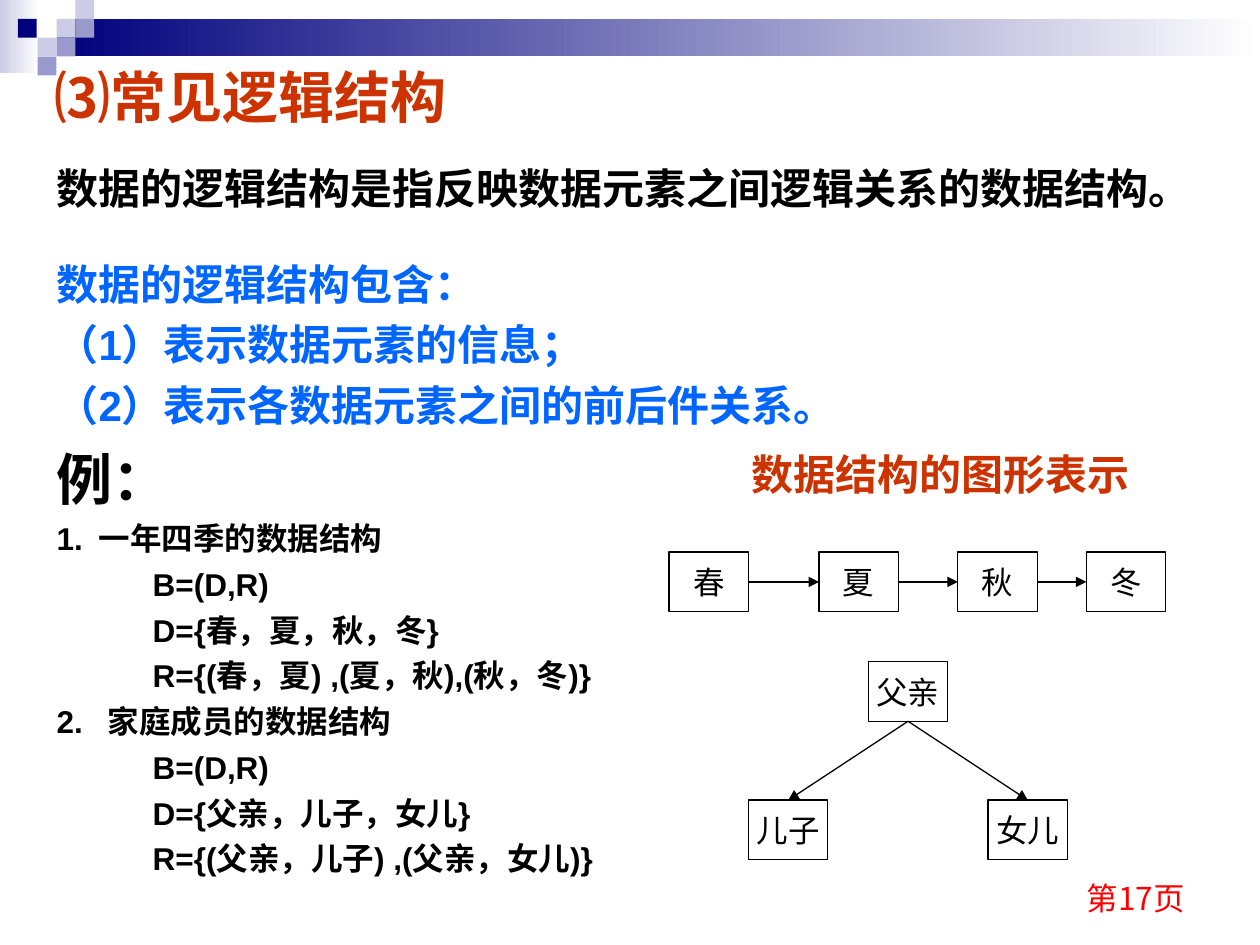
import pptx
import pptx.util
import pptx.dml.color
import pptx.enum.shapes
import pptx.enum.text
import pptx.oxml.ns
from lxml import etree
from dataclasses import dataclass

Cm, Pt = pptx.util.Cm, pptx.util.Pt
RGB = pptx.dml.color.RGBColor.from_string
Shape = pptx.enum.shapes.MSO_SHAPE
Align = pptx.enum.text.PP_ALIGN
Anchor = pptx.enum.text.MSO_ANCHOR
qn = pptx.oxml.ns.qn


@dataclass(frozen=True)
class Theme:
    """Fonts, colours, type sizes and line width."""
    latin: str = "Arial"
    cjk: str = "Noto Sans CJK SC"
    navy: str = "00007D"
    lilac: str = "CCCCE6"
    violet: str = "9999CC"
    white: str = "FFFFFF"
    black: str = "000000"
    blue: str = "0066FF"
    rust: str = "CC3300"
    red: str = "FF0000"
    title: int = 32
    body: int = 24
    small: int = 18
    line: float = 0.75


T = Theme()


def apply(obj, formats):
    """Set each named attribute on an object."""
    for name, value in formats.items():
        setattr(obj, name, value)


def write(p, text, size, color, bold=False, latin=T.latin):
    """Add one formatted run to a paragraph."""
    r = p.add_run()
    r.text = text
    apply(r.font, {"size": Pt(size), "bold": bold, "name": latin})
    r.font.color.rgb = RGB(color)
    etree.SubElement(r._r.get_or_add_rPr(), qn("a:ea"), typeface=T.cjk)


def place(sp, left, top, width, height):
    """Move and size a shape in centimetres."""
    apply(sp, {"left": Cm(left), "top": Cm(top), "width": Cm(width), "height": Cm(height)})


def frame(sp, anchor, align, wrap=True):
    """Prepare a text frame and return it with its first paragraph."""
    tf = sp.text_frame
    apply(tf, {"word_wrap": wrap, "vertical_anchor": anchor,
               "auto_size": pptx.enum.text.MSO_AUTO_SIZE.NONE,
               "margin_left": Cm(0.25), "margin_right": Cm(0.25),
               "margin_top": Cm(0.13), "margin_bottom": Cm(0.13)})
    tf.paragraphs[0].alignment = align
    return tf, tf.paragraphs[0]


def tile(s, left, top, width, height, start, end=None):
    """Draw a borderless rectangle with a solid or left-to-right gradient fill."""
    sp = s.shapes.add_shape(Shape.RECTANGLE, Cm(left), Cm(top), Cm(width), Cm(height))
    sp.shadow.inherit = False
    sp.line.fill.background()
    if end is None:
        sp.fill.solid()
        sp.fill.fore_color.rgb = RGB(start)
        return
    sp.fill.gradient()
    sp.fill.gradient_angle = 0
    for stop, position, color in zip(sp.fill.gradient_stops, (0, 1), (start, end)):
        stop.position = position
        stop.color.rgb = RGB(color)


def header_band(s, left, top, width):
    """Draw the gradient band and its mosaic of squares."""
    unit = 0.38
    tile(s, left, top, 0.79, 1.47, T.lilac, T.white)
    tile(s, left + 3 * unit, top + unit, width - 3 * unit, 2 * unit, T.navy, T.white)
    squares = [(3, 1, T.lilac), (4, 0, T.lilac), (4, 1, T.violet), (2, 2, T.lilac),
               (0.95, 1, T.navy), (3, 2, T.violet), (2, 3, T.violet)]
    for column, row, color in squares:
        tile(s, left + column * unit, top + row * unit, unit, unit, color)


def title(s, *box):
    """Fill the title placeholder."""
    sp = s.shapes.title
    place(sp, *box)
    _, p = frame(sp, Anchor.MIDDLE, Align.CENTER)
    write(p, "⑶常见逻辑结构", T.title, T.rust, True, T.cjk)


def label(s, text, size, color, anchor, align, bold, latin, *box):
    """Add a one-line text box."""
    sp = s.shapes.add_textbox(*map(Cm, box))
    _, p = frame(sp, anchor, align)
    write(p, text, size, color, bold, latin)


def body(s, *box):
    """Write the definition and the two worked examples."""
    sp = s.shapes.add_textbox(*map(Cm, box))
    tf, p = frame(sp, Anchor.TOP, Align.LEFT)
    code = 1.94
    lines = [
        ("数据的逻辑结构是指反映数据元素之间逻辑关系的数据结构。", T.body, T.black, 0, 0),
        ("数据的逻辑结构包含：", T.body, T.blue, 26, 0),
        ("（1）表示数据元素的信息；", T.body, T.blue, 6, 0),
        ("（2）表示各数据元素之间的前后件关系。", T.body, T.blue, 6, 0),
        ("例：", T.title, T.black, 8, 0),
        ("1.\t一年四季的数据结构", T.small, T.black, 4.5, 0.85),
        ("B=(D,R)", T.small, T.black, 4.5, code),
        ("D={春，夏，秋，冬}", T.small, T.black, 4.5, code),
        ("R={(春，夏) ,(夏，秋),(秋，冬)}", T.small, T.black, 4.5, code),
        ("2.\t家庭成员的数据结构", T.small, T.black, 4.5, 1.03),
        ("B=(D,R)", T.small, T.black, 4.5, code),
        ("D={父亲，儿子，女儿}", T.small, T.black, 4.5, code),
        ("R={(父亲，儿子) ,(父亲，女儿)}", T.small, T.black, 4.5, code),
    ]
    for i, (text, size, color, before, margin) in enumerate(lines):
        p = p if i == 0 else tf.add_paragraph()
        apply(p, {"alignment": Align.LEFT, "space_before": Pt(before),
                  "line_spacing": Pt(1.2 * size)})
        pPr = p._p.get_or_add_pPr()
        pPr.set("marL", str(Cm(margin)))
        pPr.set("indent", str(-Cm(margin) if "\t" in text else 0))
        write(p, text, size, color, True)


def node(s, text, left, top, width=1.6, height=1.2):
    """Draw one outlined data element."""
    sp = s.shapes.add_shape(Shape.RECTANGLE, Cm(left), Cm(top), Cm(width), Cm(height))
    sp.shadow.inherit = False
    sp.fill.background()
    sp.line.color.rgb = RGB(T.black)
    sp.line.width = Pt(T.line)
    _, p = frame(sp, Anchor.MIDDLE, Align.CENTER, wrap=False)
    write(p, text, T.small, T.black)
    return sp


def arrow(s, start, start_site, end, end_site):
    """Join two nodes with an arrow."""
    c = s.shapes.add_connector(pptx.enum.shapes.MSO_CONNECTOR.STRAIGHT, 0, 0, 0, 0)
    c.begin_connect(start, start_site)
    c.end_connect(end, end_site)
    c.line.color.rgb = RGB(T.black)
    c.line.width = Pt(T.line)
    etree.SubElement(c.line._get_or_add_ln(), qn("a:tailEnd"), type="triangle")
    etree.SubElement(c._element.spPr, qn("a:effectLst"))


def season_chain(s, left, top):
    """Draw the four seasons as a linear chain."""
    offsets = (0, 3.02, 5.82, 8.41)
    nodes = [node(s, text, left + x, top) for text, x in zip("春夏秋冬", offsets)]
    for a, b in zip(nodes, nodes[1:]):
        arrow(s, a, 3, b, 1)


def family_tree(s, left, top, width, height):
    """Draw the father above his two children."""
    father = node(s, "父亲", left + (width - 1.6) / 2, top)
    for text, x in (("儿子", 0), ("女儿", width - 1.6)):
        child = node(s, text, left + x, top + height - 1.2)
        arrow(s, father, 2, child, 0)


def main():
    """Build and save the slide."""
    prs = pptx.Presentation()
    prs.slide_width, prs.slide_height = Cm(25.4), Cm(19.05)
    s = prs.slides.add_slide(prs.slide_layouts[5])
    header_band(s, 0, 0, 25.4)
    title(s, 0.5, 1.12, 9.1, 1.62)
    body(s, 0.89, 3.14, 23.8, 15.29)
    label(s, "数据结构的图形表示", T.body, T.rust, Anchor.MIDDLE, Align.LEFT, True, T.latin,
          14.91, 8.92, 8.81, 1.27)
    season_chain(s, 13.49, 11.13)
    family_tree(s, 15.09, 13.34, 6.43, 3.99)
    label(s, "第17页", T.small, T.red, Anchor.BOTTOM, Align.RIGHT, False, T.cjk,
          18.21, 17.35, 5.92, 1.27)
    prs.save("out.pptx")


if __name__ == "__main__":
    main()
